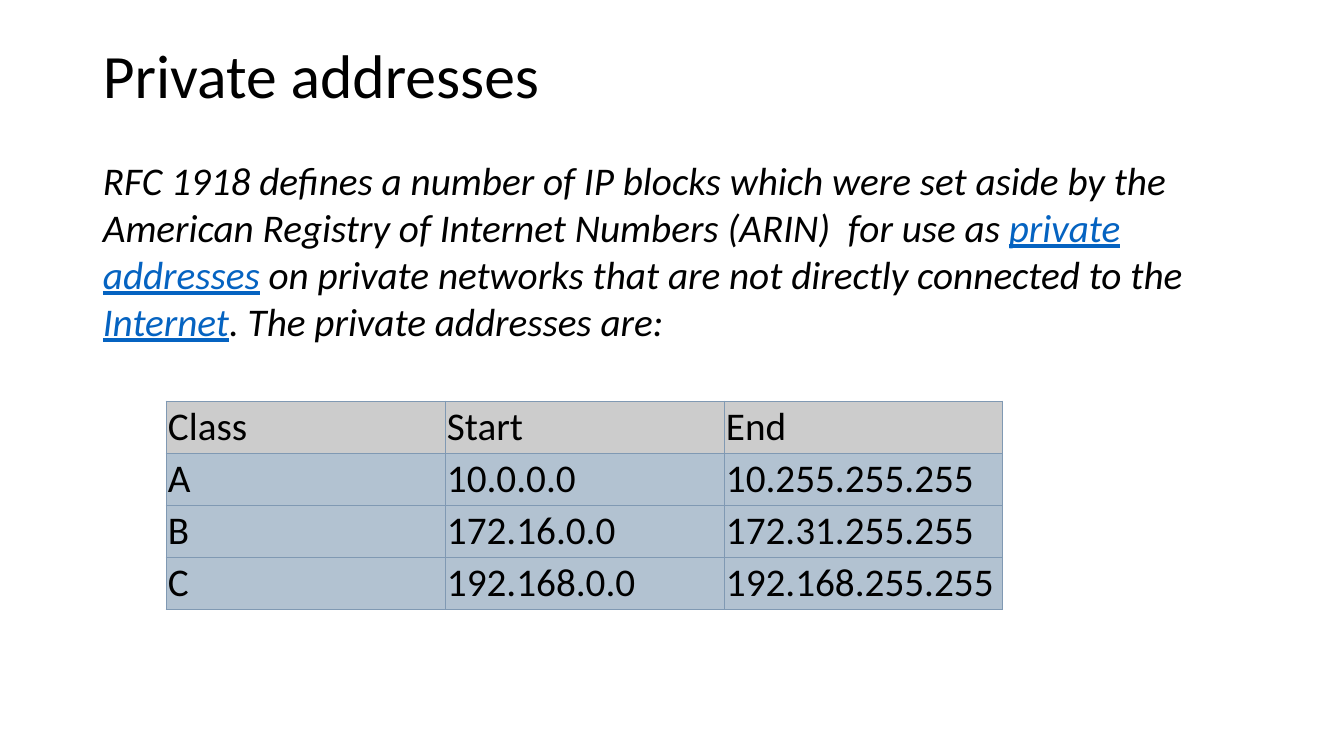
from lxml.etree import SubElement
from pptx import Presentation
from pptx.dml.color import RGBColor
from pptx.enum.text import MSO_ANCHOR as Anchor, MSO_AUTO_SIZE as AutoSize
from pptx.oxml.ns import qn
from pptx.util import Emu, Pt

INK, LINK = "000000", "0563C1"
HEADER_FILL, ROW_FILL, GRID = "CCCCCC", "B2C2D1", "8099B3"


def px(length):
    return Emu(round(length * 914400 / 100.8))


def rgb(value):
    return RGBColor.from_string(value)


def add_text(paragraph, text, size=28, color=INK, italic=False, underline=False):
    run = paragraph.add_run()
    run.text = text
    font = run.font
    font.name, font.size = "Calibri", Pt(size)
    font.italic, font.underline = italic, underline
    font.color.rgb = rgb(color)


def add_borders(cell, color, width):
    properties = cell._tc.get_or_add_tcPr()
    for side in ("lnL", "lnR", "lnT", "lnB"):
        border = SubElement(properties, qn(f"a:{side}"), w=str(Pt(width)))
        paint = SubElement(border, qn("a:solidFill"))
        SubElement(paint, qn("a:srgbClr"), val=color)


class AddressSlide:
    def __init__(self, deck):
        self.slide = deck.slides.add_slide(deck.slide_layouts[6])

    def text_box(self, left, top, width, height, runs, line_spacing=None, grow=False):
        """Add one paragraph made of (text, format) pairs."""
        box = self.slide.shapes.add_textbox(px(left), px(top), px(width), px(height))
        frame = box.text_frame
        frame.word_wrap = True
        frame.vertical_anchor = Anchor.TOP
        frame.auto_size = AutoSize.SHAPE_TO_FIT_TEXT if grow else AutoSize.NONE
        paragraph = frame.paragraphs[0]
        paragraph.line_spacing = line_spacing
        for text, style in runs:
            add_text(paragraph, text, **style)

    def table(self, left, top, column_width, row_height, rows):
        columns = len(rows[0])
        table = self.slide.shapes.add_table(
            len(rows), columns, px(left), px(top),
            px(column_width * columns), px(row_height * len(rows))).table
        table.first_row = table.horz_banding = False
        for r, row in enumerate(rows):
            for c, text in enumerate(row):
                self.cell(table.cell(r, c), text, ROW_FILL if r else HEADER_FILL)

    def cell(self, cell, text, fill):
        cell.margin_left = cell.margin_right = px(2)
        cell.margin_top = cell.margin_bottom = px(2)
        add_borders(cell, GRID, 0.75)
        cell.fill.solid()
        cell.fill.fore_color.rgb = rgb(fill)
        add_text(cell.text_frame.paragraphs[0], text)


def main():
    deck = Presentation()
    deck.slide_width, deck.slide_height = px(1344), px(756)
    page = AddressSlide(deck)

    page.text_box(93, 40, 1159, 146, [("Private addresses", {"size": 44})],
                  line_spacing=0.9)

    page.table(166, 401, 279, 52, [
        ("Class", "Start", "End"),
        ("A", "10.0.0.0", "10.255.255.255"),
        ("B", "172.16.0.0", "172.31.255.255"),
        ("C", "192.168.0.0", "192.168.255.255"),
    ])

    plain = {"italic": True}
    linked = {"italic": True, "color": LINK, "underline": True}
    page.text_box(93, 151, 1112, 201, [
        ("RFC 1918 defines a number of IP blocks which were set aside by the "
         "American Registry of Internet Numbers (ARIN)  for use as ", plain),
        ("private addresses", linked),
        (" on private networks that are not directly connected to the ", plain),
        ("Internet", linked),
        (". The private addresses are:", plain),
    ], grow=True)

    deck.save("out.pptx")


if __name__ == "__main__":
    main()
